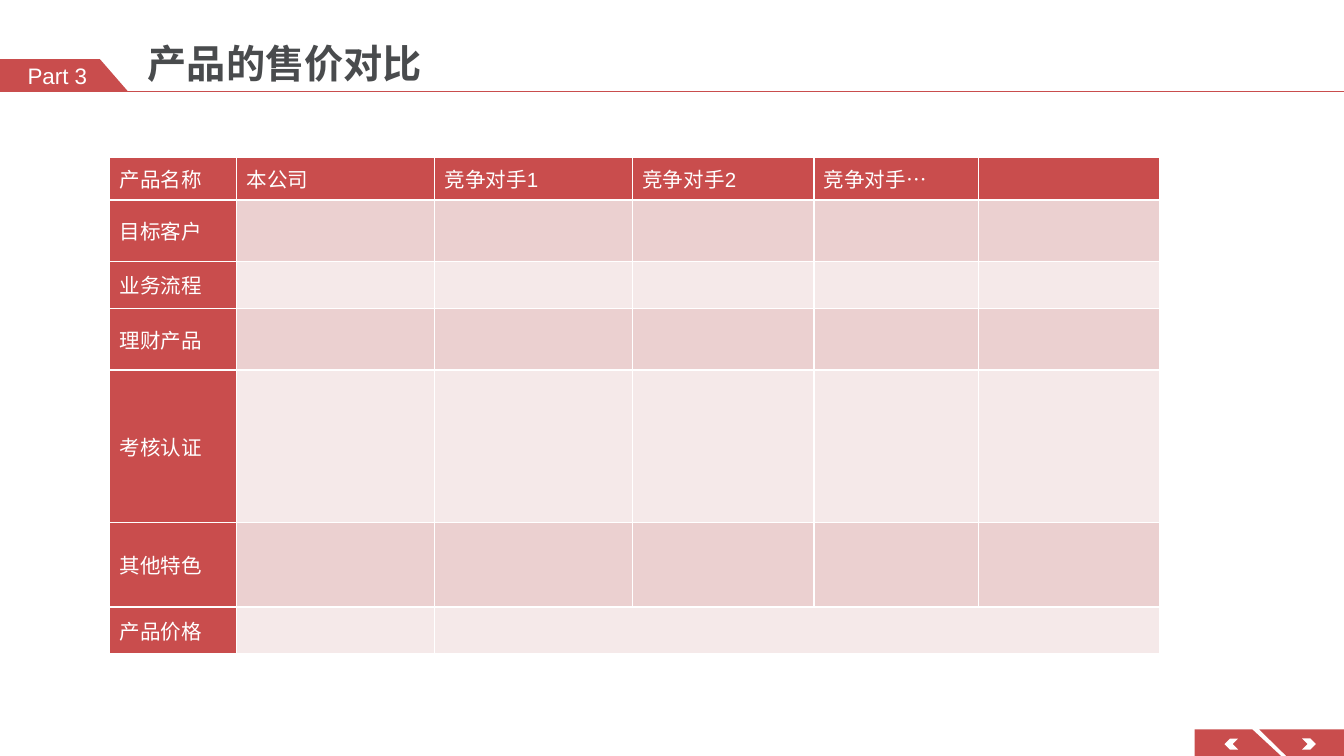
from lxml import etree
from pptx import Presentation
from pptx import util as u
from pptx.dml.color import RGBColor
from pptx.enum import shapes, text
from pptx.oxml import ns

RED = RGBColor(0xC9, 0x4D, 0x4D)
WHITE = RGBColor(0xFF, 0xFF, 0xFF)
DARK_GREY = RGBColor(0x49, 0x4B, 0x4D)
ROSE = RGBColor(0xEB, 0xD0, 0xD0)
PALE_ROSE = RGBColor(0xF5, 0xE9, 0xE9)
CHINESE_FONT = "Noto Sans CJK SC"
SLIDE_WIDTH, SLIDE_HEIGHT = 25.4, 14.29

HEADERS = ["产品名称", "本公司", "竞争对手1", "竞争对手2", "竞争对手…", ""]
ROW_LABELS = ["目标客户", "业务流程", "理财产品", "考核认证", "其他特色", "产品价格"]
COLUMN_WIDTHS = [2.4, 3.74, 3.74, 3.43, 3.11, 3.43]
ROW_HEIGHTS = [0.8, 1.16, 0.89, 1.16, 2.89, 1.59, 0.88]


def lengths(box):
    """Turn a box in centimetres into slide lengths."""
    return [u.Cm(value) for value in box]


def add_run(paragraph, content, size, color, font, bold=False):
    """Add one formatted run with Latin and Chinese fonts."""
    run = paragraph.add_run()
    run.text = content
    run.font.size = u.Pt(size)
    run.font.bold = bold
    run.font.color.rgb = color
    run.font.name = font
    properties = run.font._element
    east_asian = etree.Element(ns.qn("a:ea"), typeface=CHINESE_FONT)
    properties.find(ns.qn("a:latin")).addnext(east_asian)


def paint(shape, color):
    """Give a shape a plain fill without line or shadow."""
    shape.shadow.inherit = False
    shape.fill.solid()
    shape.fill.fore_color.rgb = color
    shape.line.fill.background()


def add_polygon(slide, box, points):
    """Draw a red polygon from points relative to the box."""
    corners = [(u.Cm(box[0] + x), u.Cm(box[1] + y)) for x, y in points]
    builder = slide.shapes.build_freeform(*corners[0], scale=1.0)
    builder.add_line_segments(corners[1:], close=True)
    paint(builder.convert_to_shape(), RED)


def add_section_tag(slide, box):
    """Draw the slanted section tag, its label and the rule under it."""
    left, top, width, height = box
    add_polygon(slide, box, [(0, 0), (width - 0.53, 0), (width, height), (0, height)])
    bottom = u.Cm(top + height)
    rule = slide.shapes.add_connector(
        shapes.MSO_CONNECTOR.STRAIGHT, u.Cm(left), bottom, u.Cm(SLIDE_WIDTH), bottom)
    rule.line.color.rgb = RED
    rule.line.width = u.Pt(1)
    etree.SubElement(rule._element.spPr, ns.qn("a:effectLst"))
    label = slide.shapes.add_textbox(*lengths((left, top, width - 0.25, height)))
    frame = label.text_frame
    frame.word_wrap = True
    frame.vertical_anchor = text.MSO_ANCHOR.MIDDLE
    frame.margin_left = frame.margin_right = frame.margin_top = frame.margin_bottom = 0
    paragraph = frame.paragraphs[0]
    paragraph.alignment = text.PP_ALIGN.CENTER
    add_run(paragraph, "Part 3", 12, WHITE, "Arial")


def set_title(slide, box):
    """Place and format the title placeholder."""
    title = slide.shapes.title
    title.left, title.top, title.width, title.height = lengths(box)
    frame = title.text_frame
    frame.word_wrap = True
    frame.auto_size = text.MSO_AUTO_SIZE.NONE
    frame.vertical_anchor = text.MSO_ANCHOR.BOTTOM
    frame.margin_left = frame.margin_right = u.Cm(0.19)
    frame.margin_top = frame.margin_bottom = u.Cm(0.1)
    paragraph = frame.paragraphs[0]
    paragraph.alignment = text.PP_ALIGN.LEFT
    paragraph.line_spacing = 0.9
    add_run(paragraph, "产品的售价对比", 21, DARK_GREY, "Montserrat", bold=True)


def format_cell(cell, content, fill, font, alignment):
    """Fill, border and label one table cell."""
    properties = cell._tc.get_or_add_tcPr()
    for side in ("lnL", "lnR", "lnT", "lnB"):
        border = etree.SubElement(properties, ns.qn(f"a:{side}"), w=str(u.Pt(1)))
        solid = etree.SubElement(border, ns.qn("a:solidFill"))
        etree.SubElement(solid, ns.qn("a:srgbClr"), val=str(WHITE))
    cell.fill.solid()
    cell.fill.fore_color.rgb = fill
    cell.vertical_anchor = text.MSO_ANCHOR.MIDDLE
    cell.margin_left = cell.margin_right = u.Cm(0.19)
    cell.margin_top = cell.margin_bottom = u.Cm(0.1)
    paragraph = cell.text_frame.paragraphs[0]
    if content:
        paragraph.alignment = alignment
        add_run(paragraph, content, 11, WHITE, font)
    else:
        etree.SubElement(paragraph._p, ns.qn("a:endParaRPr"), sz="1100")


def add_comparison_table(slide, box):
    """Build the product comparison table."""
    rows, columns = len(ROW_HEIGHTS), len(COLUMN_WIDTHS)
    table = slide.shapes.add_table(rows, columns, *lengths(box)).table
    table.first_row = table.horz_banding = False
    for column, width in zip(table.columns, COLUMN_WIDTHS):
        column.width = u.Cm(width)
    for row, height in zip(table.rows, ROW_HEIGHTS):
        row.height = u.Cm(height)
    contents = [HEADERS] + [[label] + [""] * (columns - 1) for label in ROW_LABELS]
    for row_index, row_contents in enumerate(contents):
        band = ROSE if row_index % 2 else PALE_ROSE
        for column_index, content in enumerate(row_contents):
            fill = RED if row_index == 0 or column_index == 0 else band
            competitor = column_index > 1
            font = "Arial" if competitor else CHINESE_FONT
            alignment = text.PP_ALIGN.LEFT if competitor else text.PP_ALIGN.JUSTIFY
            format_cell(table.cell(row_index, column_index), content, fill, font, alignment)
    table.cell(rows - 1, 2).merge(table.cell(rows - 1, columns - 1))


def add_navigation(slide, box):
    """Draw the previous and next buttons with their chevrons."""
    left, top, width, height = box
    add_polygon(slide, box, [(0, 0), (1.09, 0), (1.63, height), (0, height)])
    add_polygon(slide, box, [(1.22, 0), (width, 0), (width, height), (1.73, height)])
    for offset, rotation in ((0.56, 180), (2.03, 0)):
        chevron = slide.shapes.add_shape(
            shapes.MSO_SHAPE.CHEVRON, *lengths((left + offset, top + 0.17, 0.26, 0.21)))
        chevron.rotation = rotation
        paint(chevron, WHITE)


def main():
    """Build and save the presentation."""
    presentation = Presentation()
    presentation.slide_width = u.Cm(SLIDE_WIDTH)
    presentation.slide_height = u.Cm(SLIDE_HEIGHT)
    slide = presentation.slides.add_slide(presentation.slide_layouts[5])
    add_section_tag(slide, (0, 1.12, 2.42, 0.61))
    set_title(slide, (2.6, 0.4, 19.27, 1.34))
    add_comparison_table(slide, (2.07, 2.98, sum(COLUMN_WIDTHS), sum(ROW_HEIGHTS)))
    add_navigation(slide, (22.58, 13.79, 2.82, 0.5))
    presentation.save("out.pptx")


if __name__ == "__main__":
    main()
